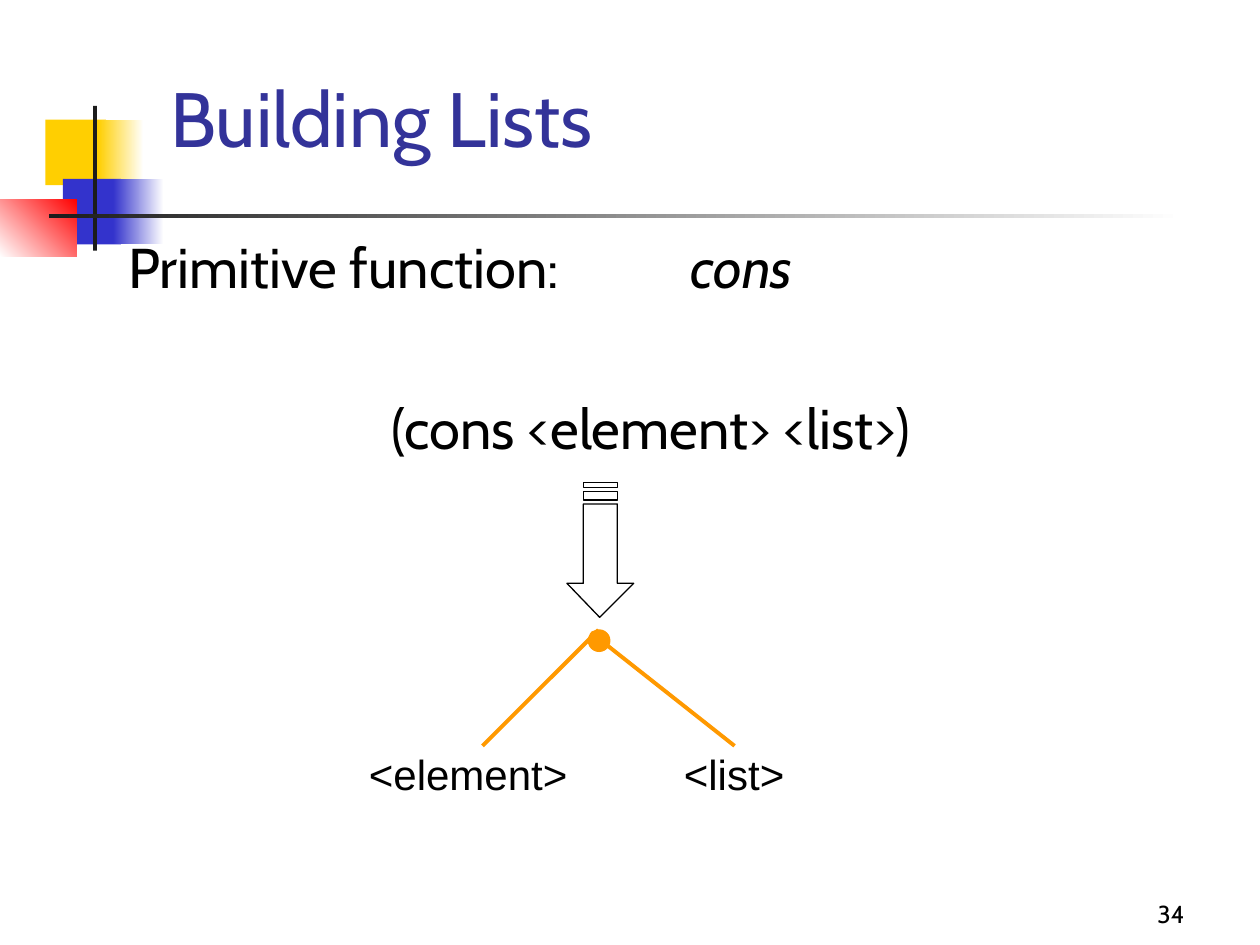
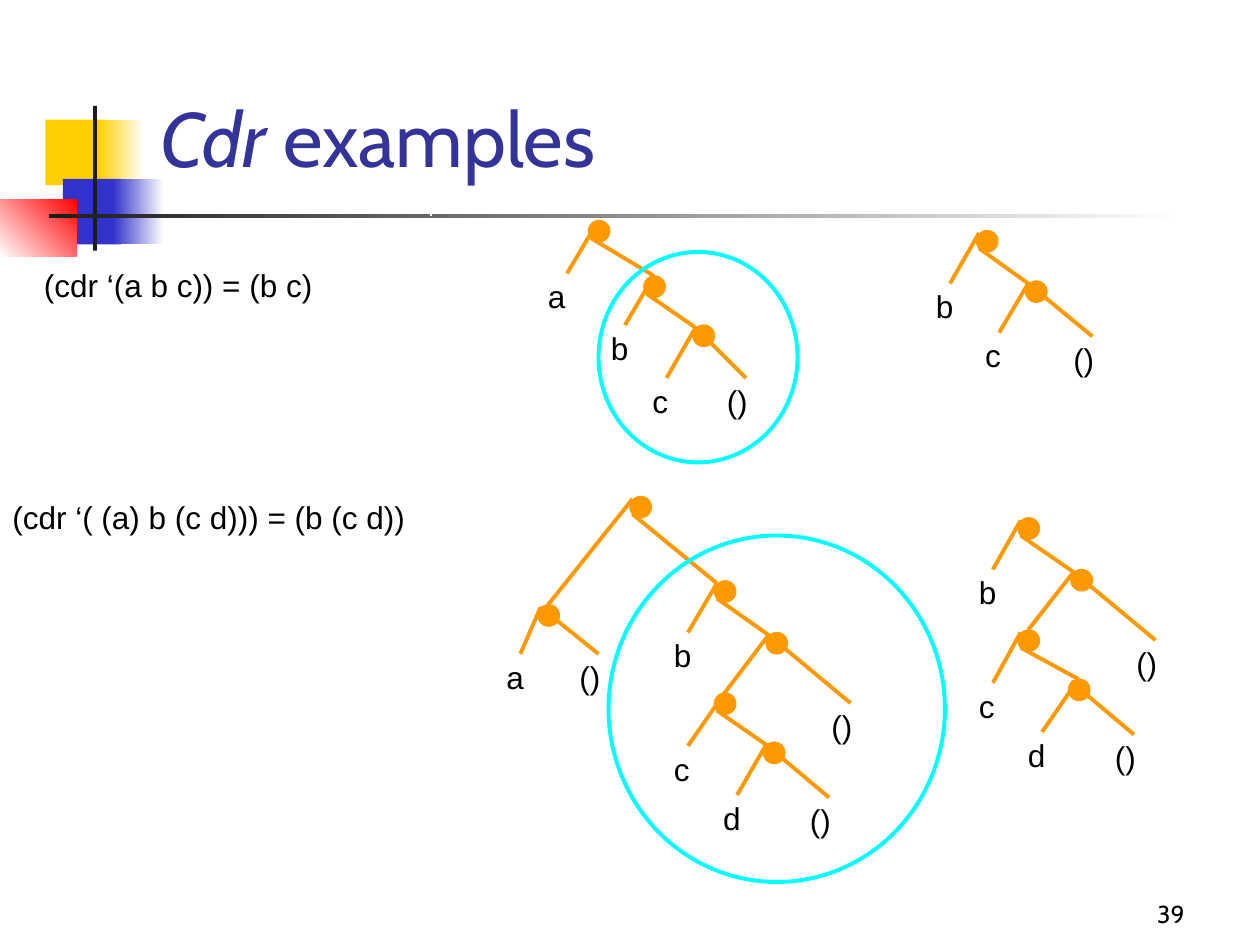
from collections import namedtuple

from lxml.etree import SubElement
from pptx import Presentation
from pptx.dml.color import RGBColor as RGB
from pptx.enum.dml import MSO_LINE as Dash
from pptx.enum.shapes import MSO_CONNECTOR as Link, MSO_SHAPE as Shape
from pptx.enum.text import MSO_ANCHOR as Anchor, MSO_AUTO_SIZE as Fit, PP_ALIGN as Align
from pptx.oxml.ns import qn
from pptx.util import Inches, Pt

BLACK = RGB(0x00, 0x00, 0x00)
WHITE = RGB(0xFF, 0xFF, 0xFF)
INK = RGB(0x1C, 0x1C, 0x1C)
NAVY = RGB(0x33, 0x33, 0x99)
BLUE = RGB(0x33, 0x33, 0xCC)
GOLD = RGB(0xFF, 0xCF, 0x01)
RED = RGB(0xFF, 0x00, 0x00)
ORANGE = RGB(0xFF, 0x99, 0x00)
CYAN = RGB(0x00, 0xFF, 0xFF)

HEAD, BODY = "Cabin", "Arial"
TIGHT = 0.96
DOT = 0.17

# Points of a dot where a branch may join, from the dot's top left corner
TOP, CORNER, FOOT = (0.08, 0), (0.02, 0.02), (0.02, 0.14)

# A leaf hangs its label below the end of its branch at x, y.
Leaf = namedtuple("Leaf", "text x y width", defaults=[0.42])
# A pair is a dot with two branches; "into" and "out" say where the branch
# from above and the left branch join it.
Pair = namedtuple("Pair", "x y left right into out", defaults=[CORNER, CORNER])


def nil(x, y):
    return Leaf("()", x, y, 0.5)


def box(left, top, width, height):
    return [Inches(v) for v in (left, top, width, height)]


class Deck:
    def __init__(self):
        self.prs = Presentation()
        self.prs.slide_width, self.prs.slide_height = Inches(10), Inches(7.5)
        self.slide = None

    def start(self, area, runs, number):
        """Add a slide with its ornament, title and number."""
        self.slide = self.prs.slides.add_slide(self.prs.slide_layouts[5])
        self.band((0.36, 0.95, 0.48, 0.52), GOLD)
        self.band((0.78, 0.95, 0.36, 0.52), WHITE, GOLD)
        self.band((0.5, 1.42, 0.46, 0.52), BLUE)
        self.band((0.9, 1.42, 0.4, 0.52), WHITE, BLUE)
        self.band((0, 1.58, 0.61, 0.46), RED, WHITE, 225)
        self.band((0.74, 0.84, 0.03, 1.15), INK)
        self.band((0.39, 1.7, 9, 0.03), WHITE, INK)

        title = self.slide.shapes.title
        title.left, title.top, title.width, title.height = box(*area)
        frame = title.text_frame
        frame.auto_size = Fit.NONE
        frame.vertical_anchor = Anchor.MIDDLE
        self.phrase(frame.paragraphs[0], runs, 44, HEAD, NAVY)

        frame = self.frame((7.42, 6.75, 2.08, 0.67))
        frame.vertical_anchor = Anchor.BOTTOM
        self.phrase(frame.paragraphs[0], [number], 14, HEAD, align=Align.RIGHT)

    def band(self, area, color, end=None, angle=180):
        """Draw a borderless block, with a gradient when end is given."""
        shape = self.slide.shapes.add_shape(Shape.RECTANGLE, *box(*area))
        shape.shadow.inherit = False
        shape.line.fill.background()
        if end is None:
            shape.fill.solid()
            shape.fill.fore_color.rgb = color
            return
        shape.fill.gradient()
        shape.fill.gradient_angle = angle
        for stop, tint in zip(shape.fill.gradient_stops, (color, end)):
            stop.color.rgb = tint

    def frame(self, area):
        frame = self.slide.shapes.add_textbox(*box(*area)).text_frame
        frame.word_wrap = True
        return frame

    def phrase(self, para, runs, size, font, color=BLACK, align=Align.LEFT):
        """Fill a paragraph; a run that is a tuple is italic."""
        para.alignment = align
        para.line_spacing = TIGHT
        for part in runs:
            run = para.add_run()
            slant = isinstance(part, tuple)
            run.text = part[0] if slant else part
            run.font.name, run.font.size = font, Pt(size)
            run.font.italic = slant
            run.font.color.rgb = color

    def label(self, text, area, size=18):
        self.phrase(self.frame(area).paragraphs[0], [text], size, BODY)

    def oval(self, area, color, weight, solid=False):
        shape = self.slide.shapes.add_shape(Shape.OVAL, *box(*area))
        self.edge(shape, color, weight)
        if solid:
            shape.fill.solid()
            shape.fill.fore_color.rgb = color

    def edge(self, shape, color, weight):
        """Leave only a plain outline on a shape."""
        shape.shadow.inherit = False
        shape.fill.background()
        shape.line.color.rgb = color
        shape.line.width = Pt(weight)

    def line(self, start, end, color=ORANGE, weight=2.25, dash=None):
        ends = [Inches(v) for v in (*start, *end)]
        link = self.slide.shapes.add_connector(Link.STRAIGHT, *ends)
        link.line.color.rgb = color
        link.line.width = Pt(weight)
        if dash:
            link.line.dash_style = dash
        SubElement(link._element.spPr, qn("a:effectLst"))

    def outline(self, paths):
        """Draw closed paths as one unfilled shape."""
        pen = None
        for path in paths:
            first, *rest = [(Inches(x), Inches(y)) for x, y in path]
            if pen is None:
                pen = self.slide.shapes.build_freeform(*first)
            else:
                pen.move_to(*first)
            pen.add_line_segments(rest, close=True)
        self.edge(pen.convert_to_shape(), BLACK, 0.75)

    def tree(self, node, size=18):
        if isinstance(node, Leaf):
            area = (node.x - node.width / 2, node.y, node.width, size / 48 + 0.01)
            self.label(node.text, area, size)
            return
        self.oval((node.x, node.y, DOT, DOT), ORANGE, 0.75, solid=True)
        out = FOOT if isinstance(node.right, Pair) else CORNER
        for child, (dx, dy) in ((node.left, node.out), (node.right, out)):
            cx, cy = child.into if isinstance(child, Pair) else (0, 0)
            self.line((child.x + cx, child.y + cy), (node.x + dx, node.y + dy))
            self.tree(child, size)


def build_lists(deck):
    deck.start((1.25, 0.33, 8.53, 1.26), ["Building Lists"], "34")
    frame = deck.frame((0.92, 1.83, 8.5, 4.5))
    intro, call = frame.paragraphs[0], frame.add_paragraph()
    tabs = SubElement(intro._p.get_or_add_pPr(), qn("a:tabLst"))
    SubElement(tabs, qn("a:tab"), pos=str(Inches(4.36)), algn="l")
    deck.phrase(intro, ["Primitive function:\t ", ("cons",)], 32, HEAD)
    deck.phrase(call, ["(cons <element> <list>)"], 32, HEAD, align=Align.CENTER)
    call.space_before = Pt(55)

    left, right = 4.63, 4.9
    bars = [[(right, a), (right, b), (left, b), (left, a)]
            for a, b in ((3.83, 3.87), (3.9, 3.97))]
    arrow = [(right, 4), (right, 4.63), (5.03, 4.63), (4.76, 4.9),
             (4.5, 4.63), (left, 4.63), (left, 4)]
    deck.outline([arrow, *bars])
    deck.tree(Pair(4.67, 5, Leaf("<element>", 3.83, 5.92, 2),
                   Leaf("<list>", 5.83, 5.92, 1), out=TOP), size=24)


def cdr_examples(deck):
    deck.start((1.17, 0.58, 8.53, 1.08), [("Cdr",), " examples"], "39")
    deck.line((3.42, 1.67), (3.42, 6), WHITE, 0.75, Dash.DASH)

    deck.label("(cdr ‘(a b c)) = (b c)", (0.25, 2.08, 3.92, 0.39))
    tail = Pair(5.5, 2.58, Leaf("c", 5.29, 3), nil(5.92, 3))
    rest = Pair(5.11, 2.19, Leaf("b", 4.96, 2.58), tail, TOP, TOP)
    deck.tree(Pair(4.67, 1.75, Leaf("a", 4.5, 2.17, 0.5), rest, out=TOP))
    deck.oval((4.75, 2, 1.58, 1.67), CYAN, 2.25)
    tail = Pair(8.14, 2.23, Leaf("c", 7.93, 2.64), nil(8.67, 2.67))
    deck.tree(Pair(7.75, 1.83, Leaf("b", 7.54, 2.25), tail))

    deck.label("(cdr ‘( (a) b (c d))) = (b (c d))", (0, 3.92, 3.92, 0.39))
    last = Pair(6.06, 5.89, Leaf("d", 5.85, 6.31), nil(6.58, 6.33))
    inner = Pair(5.67, 5.5, Leaf("c", 5.46, 5.92), last, TOP, TOP)
    tail = Pair(6.08, 5.02, inner, nil(6.75, 5.58))
    rest = Pair(5.67, 4.61, Leaf("b", 5.46, 5.02), tail)
    first = Pair(4.27, 4.8, Leaf("a", 4.13, 5.19), nil(4.75, 5.19), TOP)
    deck.tree(Pair(5, 3.94, first, rest))
    deck.oval((4.83, 4.25, 2.67, 2.75), CYAN, 2.25)
    last = Pair(8.48, 5.39, Leaf("d", 8.27, 5.81), nil(9, 5.83), TOP, TOP)
    inner = Pair(8.08, 5, Leaf("c", 7.88, 5.42), last, TOP)
    tail = Pair(8.5, 4.52, inner, nil(9.17, 5.08))
    deck.tree(Pair(8.08, 4.11, Leaf("b", 7.88, 4.52), tail))


def main():
    deck = Deck()
    build_lists(deck)
    cdr_examples(deck)
    deck.prs.save("out.pptx")


if __name__ == "__main__":
    main()
